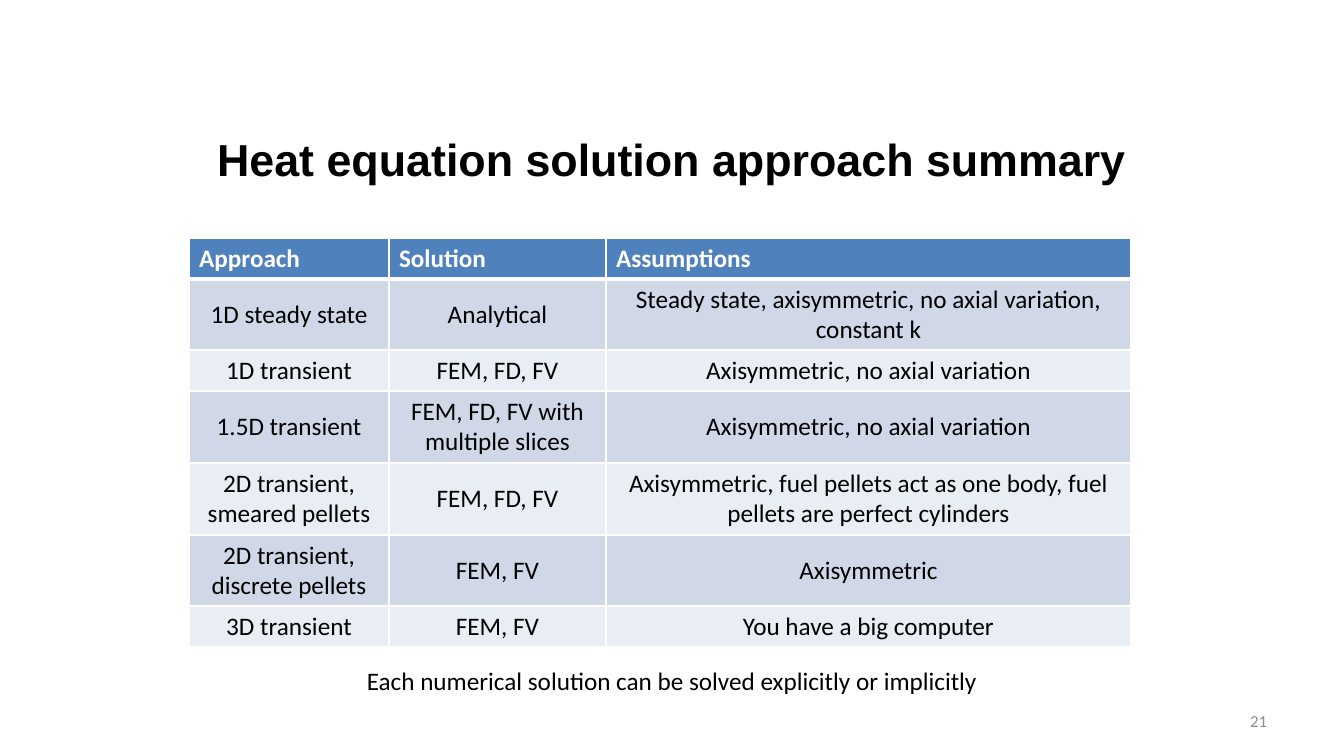
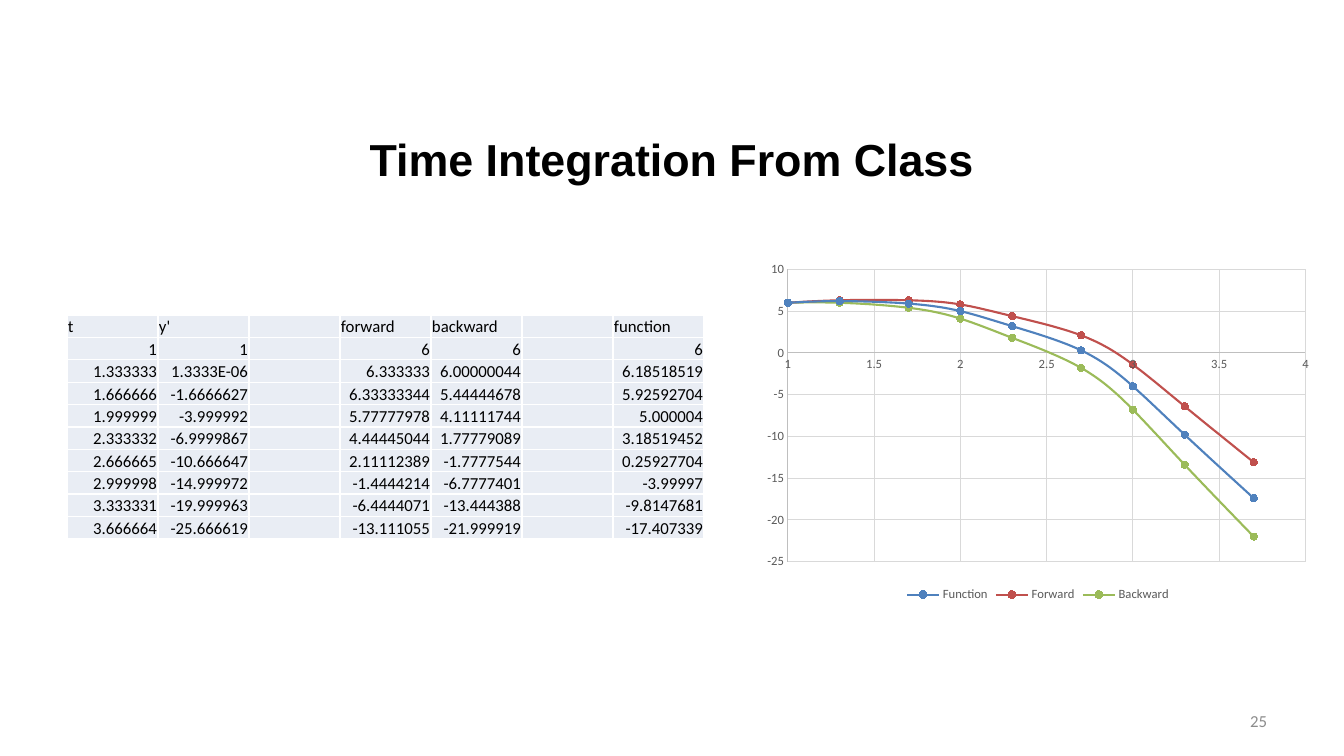
import pptx
import pptx.chart.data
import pptx.dml.color
import pptx.enum.chart
import pptx.enum.text
import pptx.oxml
import pptx.oxml.ns
import pptx.util
from lxml import etree

ALIGN = pptx.enum.text.PP_ALIGN
ANCHOR = pptx.enum.text.MSO_ANCHOR
WHITE, BLACK, GREY = "FFFFFF", "000000", "8C8C8C"
BLUE, RED, GREEN = "4F81BD", "C0504D", "9BBB59"
BAND, PALE = "D0D8E8", "E9EDF4"
GRID, AXIS, LABEL = "D9D9D9", "BFBFBF", "595959"

APPROACHES = [
    ("Approach", "Solution", "Assumptions"),
    ("1D steady state", "Analytical", "Steady state, axisymmetric, no axial variation, constant k"),
    ("1D transient", "FEM, FD, FV", "Axisymmetric, no axial variation"),
    ("1.5D transient", "FEM, FD, FV with multiple slices", "Axisymmetric, no axial variation"),
    ("2D transient, smeared pellets", "FEM, FD, FV",
     "Axisymmetric, fuel pellets act as one body, fuel pellets are perfect cylinders"),
    ("2D transient, discrete pellets", "FEM, FV", "Axisymmetric"),
    ("3D transient", "FEM, FV", "You have a big computer"),
]
STEPS = [
    ("t", "y'", "", "forward", "backward", "", "function"),
    ("1", "1", "", "6", "6", "", "6"),
    ("1.333333", "1.3333E-06", "", "6.333333", "6.00000044", "", "6.18518519"),
    ("1.666666", "-1.6666627", "", "6.33333344", "5.44444678", "", "5.92592704"),
    ("1.999999", "-3.999992", "", "5.77777978", "4.11111744", "", "5.000004"),
    ("2.333332", "-6.9999867", "", "4.44445044", "1.77779089", "", "3.18519452"),
    ("2.666665", "-10.666647", "", "2.11112389", "-1.7777544", "", "0.25927704"),
    ("2.999998", "-14.999972", "", "-1.4444214", "-6.7777401", "", "-3.99997"),
    ("3.333331", "-19.999963", "", "-6.4444071", "-13.444388", "", "-9.8147681"),
    ("3.666664", "-25.666619", "", "-13.111055", "-21.999919", "", "-17.407339"),
]
SERIES = [("Function", 6, BLUE), ("Forward", 3, RED), ("Backward", 4, GREEN)]


def px(n):
    return pptx.util.Emu(round(n * 914400 / 100.8))


def rgb(color):
    return pptx.dml.color.RGBColor.from_string(color)


def set_font(font, size, color, bold=False, name="Calibri"):
    font.size = pptx.util.Pt(size)
    font.name = name
    font.bold = bold
    font.color.rgb = rgb(color)


def set_line(line, color, width):
    line.color.rgb = rgb(color)
    line.width = pptx.util.Pt(width)


def write(tf, text, size=18, color=BLACK, bold=False, name="Calibri", align=ALIGN.LEFT):
    p = tf.paragraphs[0]
    p.alignment = align
    if text:
        r = p.add_run()
        r.text = text
        set_font(r.font, size, color, bold, name)
    else:
        end = etree.SubElement(p._p, pptx.oxml.ns.qn("a:endParaRPr"))
        end.set("sz", str(size * 100))


def add_text(slide, box, text, anchor=ANCHOR.MIDDLE, **fmt):
    tf = slide.shapes.add_textbox(*map(px, box)).text_frame
    tf.word_wrap = True
    tf.vertical_anchor = anchor
    write(tf, text, **fmt)


def set_cell(cell, text, fill, anchor, bottom=1, margins=None, **fmt):
    cell.fill.solid()
    cell.fill.fore_color.rgb = rgb(fill)
    cell.vertical_anchor = anchor
    if margins:
        cell.margin_left, cell.margin_top, cell.margin_right, cell.margin_bottom = map(px, margins)
    write(cell.text_frame, text, **fmt)
    tcPr = cell._tc.get_or_add_tcPr()
    for i, (side, width) in enumerate((("L", 1), ("R", 1), ("T", 1), ("B", bottom))):
        tcPr.insert(i, pptx.oxml.parse_xml(
            f'<a:ln{side} {pptx.oxml.ns.nsdecls("a")} w="{pptx.util.Pt(width)}">'
            f'<a:solidFill><a:srgbClr val="{WHITE}"/></a:solidFill></a:ln{side}>'))


def add_grid(slide, box, rows, widths, cell_format, heights=None):
    table = slide.shapes.add_table(len(rows), len(widths), *map(px, box)).table
    table.horz_banding = table.first_row = False
    for col, width in zip(table.columns, widths):
        col.width = px(width)
    for row, height in zip(table.rows, heights or []):
        row.height = px(height)
    for i, row in enumerate(rows):
        for j, text in enumerate(row):
            set_cell(table.cell(i, j), text, **cell_format(i))


def approach_format(i):
    if i == 0:
        return dict(fill=BLUE, anchor=ANCHOR.TOP, bottom=3, color=WHITE, bold=True)
    return dict(fill=BAND if i % 2 else PALE, anchor=ANCHOR.MIDDLE, align=ALIGN.CENTER)


def step_format(i):
    return dict(fill=PALE, anchor=ANCHOR.BOTTOM, margins=(1, 1, 1, 0), size=12,
                align=ALIGN.RIGHT if i else ALIGN.LEFT)


def add_curves(slide, box):
    data = pptx.chart.data.XyChartData()
    for name, column, _ in SERIES:
        points = data.add_series(name)
        for row in STEPS[1:]:
            points.add_data_point(round(float(row[0]), 1), round(float(row[column]), 1))
    kind = pptx.enum.chart.XL_CHART_TYPE.XY_SCATTER_SMOOTH
    chart = slide.shapes.add_chart(kind, *map(px, box), data).chart
    set_font(chart.font, 10, BLACK)
    chart.has_title = False
    chart.has_legend = True
    chart.legend.position = pptx.enum.chart.XL_LEGEND_POSITION.BOTTOM
    chart.legend.include_in_layout = False
    set_font(chart.legend.font, 9, LABEL)
    for axis in (chart.category_axis, chart.value_axis):
        axis.major_tick_mark = axis.minor_tick_mark = pptx.enum.chart.XL_TICK_MARK.NONE
        axis.has_major_gridlines = True
        set_line(axis.major_gridlines.format.line, GRID, 0.75)
        set_line(axis.format.line, AXIS, 0.75)
        set_font(axis.tick_labels.font, 9, LABEL)
        axis.tick_labels.number_format = "General"
        axis.tick_labels.number_format_is_linked = False
    chart.category_axis.minimum_scale = 1
    chart.plots[0].vary_by_categories = False
    for series, (_, _, color) in zip(chart.plots[0].series, SERIES):
        series._element.get_or_add_smooth().val = True
        set_line(series.format.line, color, 1.5)
        marker = series.marker
        marker.style = pptx.enum.chart.XL_MARKER_STYLE.CIRCLE
        marker.size = 5
        marker.format.fill.solid()
        marker.format.fill.fore_color.rgb = rgb(color)
        set_line(marker.format.line, color, 0.75)


def add_slide(prs, title, number):
    slide = prs.slides.add_slide(prs.slide_layouts[6])
    add_text(slide, (67, 100, 1210, 118), title, size=32, bold=True, name="Arial",
             align=ALIGN.CENTER)
    add_text(slide, (963, 701, 314, 40), number, size=12, color=GREY, align=ALIGN.RIGHT)
    return slide


def approach_slide(prs):
    slide = add_slide(prs, "Heat equation solution approach summary", "21")
    heights = [41, 71, 41, 72, 72, 71, 41]
    add_grid(slide, (189, 238, 942, sum(heights)), APPROACHES, (200, 217, 525),
             approach_format, heights)
    add_text(slide, (304, 660, 736, 40), anchor=ANCHOR.TOP, align=ALIGN.CENTER,
             text="Each numerical solution can be solved explicitly or implicitly")


def integration_slide(prs):
    slide = add_slide(prs, "Time Integration From Class", "25")
    add_grid(slide, (67, 315, 637, 224), STEPS, [91] * 7, step_format)
    add_curves(slide, (756, 255, 564, 351))


def main():
    prs = pptx.Presentation()
    prs.slide_width, prs.slide_height = px(1344), px(756)
    approach_slide(prs)
    integration_slide(prs)
    prs.save("out.pptx")


if __name__ == "__main__":
    main()
